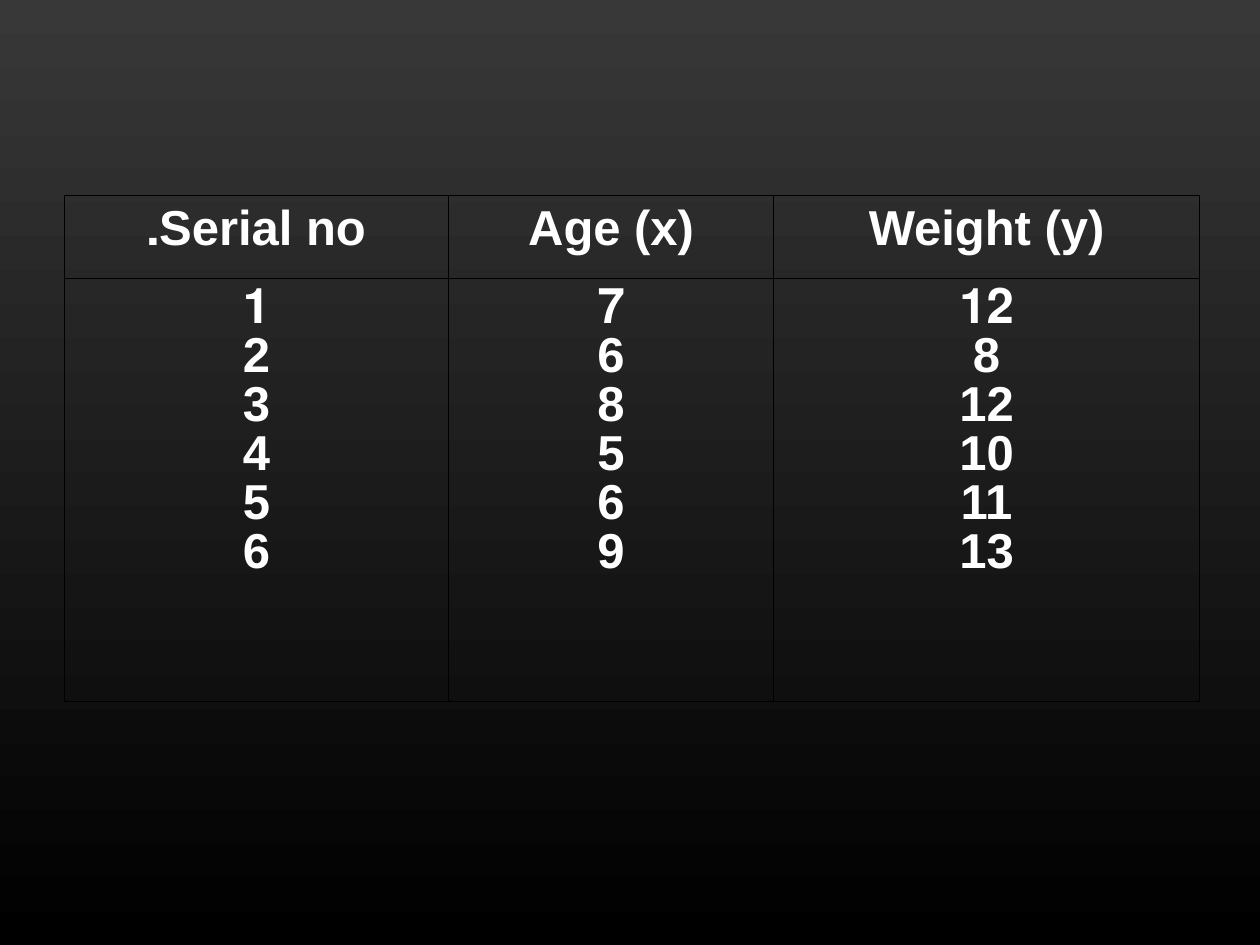
from lxml.etree import SubElement
from pptx import Presentation
from pptx.dml.color import RGBColor
from pptx.enum.text import PP_ALIGN as Align
from pptx.oxml.ns import qn
from pptx.util import Inches, Pt

CHARCOAL = RGBColor(0x38, 0x38, 0x38)
BLACK = RGBColor(0, 0, 0)
WHITE = RGBColor(0xFF, 0xFF, 0xFF)

COLUMNS = {
    "Serial no.": [1, 2, 3, 4, 5, 6],
    "Age (x)": [7, 6, 8, 5, 6, 9],
    "Weight (y)": [12, 8, 12, 10, 11, 13],
}


def write_text(paragraph, text, size=28, color=WHITE, rtl=False, spacing=None):
    paragraph.alignment = Align.CENTER
    if rtl:
        paragraph._p.get_or_add_pPr().set("rtl", "1")
    if spacing:
        paragraph.line_spacing = spacing
    run = paragraph.add_run()
    run.text = text
    run.font.name = "Arial"
    run.font.size = Pt(size)
    run.font.bold = True
    run.font.color.rgb = color


class SlideBuilder:
    """Holds the border style and the current slide."""

    border_color = BLACK
    border_width = Pt(0.45)

    def __init__(self, presentation):
        self.slide = presentation.slides.add_slide(presentation.slide_layouts[6])

    def background(self, top, bottom):
        fill = self.slide.background.fill
        fill.gradient()
        fill.gradient_angle = 270
        for stop, color, position in zip(fill.gradient_stops, (top, bottom), (0, 1)):
            stop.color.rgb = color
            stop.position = position

    def frame_cell(self, cell):
        properties = cell._tc.get_or_add_tcPr()
        for side in ("lnL", "lnR", "lnT", "lnB"):
            line = SubElement(properties, qn(f"a:{side}"), w=str(self.border_width))
            fill = SubElement(line, qn("a:solidFill"))
            SubElement(fill, qn("a:srgbClr"), val=str(self.border_color))
        cell.fill.background()

    def table(self, columns, left, top, widths, heights):
        frame = self.slide.shapes.add_table(
            len(heights), len(widths), Inches(left), Inches(top),
            Inches(sum(widths)), Inches(sum(heights)))
        table = frame.table
        table.first_row = table.horz_banding = False
        for row, height in zip(table.rows, heights):
            row.height = Inches(height)
        for index, (heading, values) in enumerate(columns.items()):
            table.columns[index].width = Inches(widths[index])
            header, body = table.cell(0, index), table.cell(1, index)
            write_text(header.text_frame.paragraphs[0], heading, rtl=True)
            # All values of a column share one cell, one paragraph each
            for number, value in enumerate(values):
                text_frame = body.text_frame
                paragraph = text_frame.add_paragraph() if number else text_frame.paragraphs[0]
                write_text(paragraph, str(value), rtl=number == 0, spacing=Pt(28))
            for cell in (header, body):
                self.frame_cell(cell)


def main():
    presentation = Presentation()
    presentation.slide_width, presentation.slide_height = Inches(10), Inches(7.5)
    builder = SlideBuilder(presentation)
    builder.background(CHARCOAL, BLACK)
    # Age and weight data
    builder.table(COLUMNS, 0.51, 1.55, widths=(3.05, 2.58, 3.38), heights=(0.66, 3.36))
    presentation.save("out.pptx")


if __name__ == "__main__":
    main()
